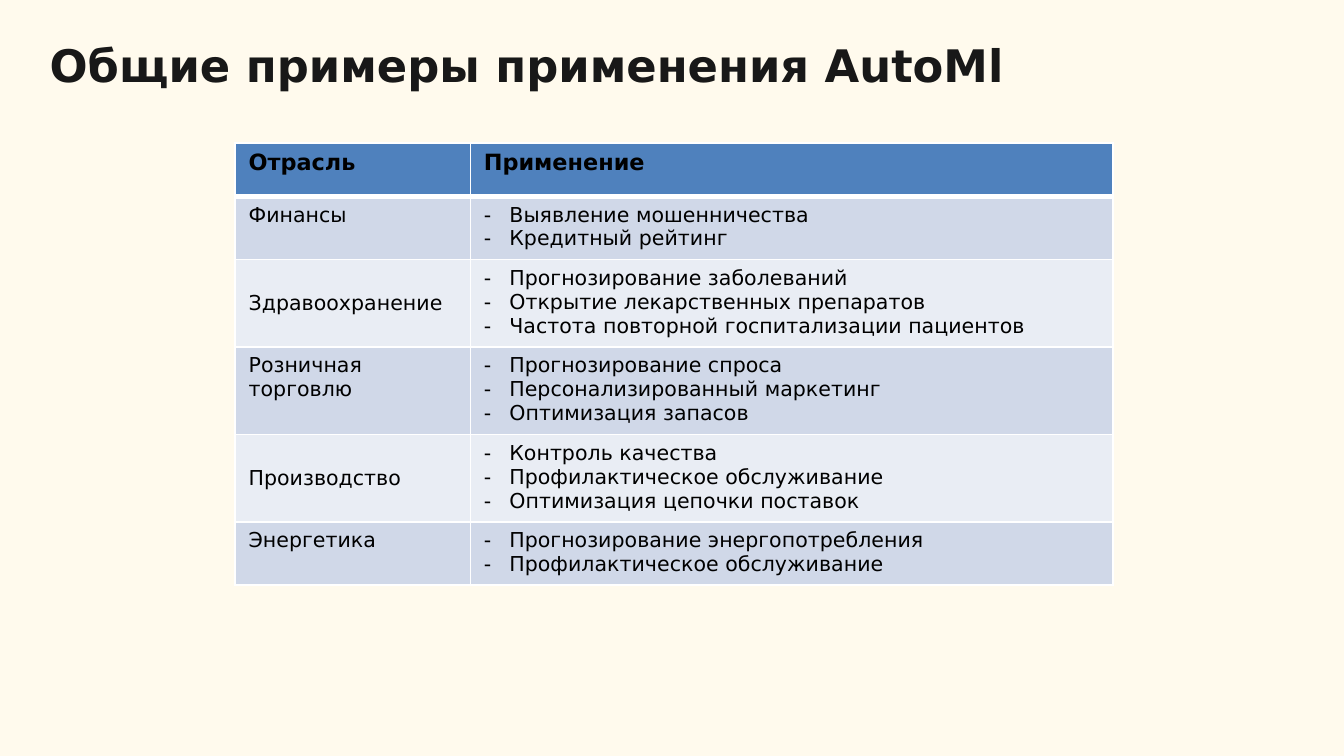
from lxml.etree import SubElement
from pptx import Presentation
from pptx.dml.color import RGBColor
from pptx.enum.text import MSO_ANCHOR, PP_ALIGN
from pptx.oxml.ns import qn
from pptx.util import Inches, Pt

SLIDE_WIDTH = Inches(10)
SLIDE_HEIGHT = SLIDE_WIDTH * 9 // 16
FONT = "DejaVu Sans"
CREAM = RGBColor(0xFF, 0xFA, 0xED)
CHARCOAL = RGBColor(0x18, 0x18, 0x18)
BLACK = RGBColor(0x00, 0x00, 0x00)
WHITE = RGBColor(0xFF, 0xFF, 0xFF)
HEADER_BLUE = RGBColor(0x4F, 0x81, 0xBD)
BAND_COLORS = (RGBColor(0xD0, 0xD8, 0xE8), RGBColor(0xE9, 0xED, 0xF4))

TITLE = "Общие примеры применения AutoMl"
HEADERS = ("Отрасль", "Применение")
INDUSTRIES = (
    ("Финансы", ("Выявление мошенничества", "Кредитный рейтинг")),
    ("Здравоохранение", ("Прогнозирование заболеваний",
                         "Открытие лекарственных препаратов",
                         "Частота повторной госпитализации пациентов")),
    ("Розничная торговлю", ("Прогнозирование спроса",
                            "Персонализированный маркетинг",
                            "Оптимизация запасов")),
    ("Производство", ("Контроль качества",
                      "Профилактическое обслуживание",
                      "Оптимизация цепочки поставок")),
    ("Энергетика", ("Прогнозирование энергопотребления",
                    "Профилактическое обслуживание")),
)


def slide_box(left, top, width, height):
    """Turn percentages of the slide's size into lengths."""
    return (int(SLIDE_WIDTH * left / 100), int(SLIDE_HEIGHT * top / 100),
            int(SLIDE_WIDTH * width / 100), int(SLIDE_HEIGHT * height / 100))


def add_run(paragraph, text, size, color, bold=False):
    run = paragraph.add_run()
    run.text = text
    run.font.name = FONT
    run.font.size = Pt(size)
    run.font.bold = bold
    run.font.color.rgb = color


def add_dash(paragraph):
    properties = paragraph._p.get_or_add_pPr()
    indent = Inches(0.19)
    properties.set("marL", str(indent))
    properties.set("indent", str(-indent))
    SubElement(properties, qn("a:buFont"), typeface=FONT)
    SubElement(properties, qn("a:buChar"), char="-")


def set_borders(cell, top=1, bottom=1):
    properties = cell._tc.get_or_add_tcPr()
    for side, width in (("L", 1), ("R", 1), ("T", top), ("B", bottom)):
        line = SubElement(properties, qn(f"a:ln{side}"), w=str(Pt(width)))
        fill = SubElement(line, qn("a:solidFill"))
        SubElement(fill, qn("a:srgbClr"), val=str(WHITE))


def fill_cell(cell, lines, fill, size=11, bold=False, dashed=False):
    cell.fill.solid()
    cell.fill.fore_color.rgb = fill
    frame = cell.text_frame
    for index, line in enumerate(lines):
        paragraph = frame.add_paragraph() if index else frame.paragraphs[0]
        if dashed:
            add_dash(paragraph)
        add_run(paragraph, line, size, BLACK, bold)


def place_title(slide, box):
    title = slide.shapes.title
    title.left, title.top, title.width, title.height = box
    frame = title.text_frame
    frame.margin_left = frame.margin_right = frame.margin_bottom = 0
    frame.margin_top = Inches(0.01)
    frame.vertical_anchor = MSO_ANCHOR.TOP
    frame.word_wrap = True
    paragraph = frame.paragraphs[0]
    paragraph.alignment = PP_ALIGN.LEFT
    paragraph.space_before = Pt(1)
    paragraph._p.get_or_add_pPr().set("marL", str(Inches(0.01)))
    add_run(paragraph, TITLE, 24, CHARCOAL, bold=True)


def place_industry_table(slide, box):
    """The header takes 12 % of the height; each row has its uses plus padding."""
    row_count = len(INDUSTRIES) + 1
    table = slide.shapes.add_table(row_count, len(HEADERS), *box).table
    industry_width = int(box[2] * 0.268)
    table.columns[0].width = industry_width
    table.columns[1].width = box[2] - industry_width

    header_height = int(box[3] * 0.12)
    padding = 0.6
    line_count = sum(len(uses) + padding for _, uses in INDUSTRIES)
    line_height = (box[3] - header_height) / line_count

    table.rows[0].height = header_height
    for column, header in enumerate(HEADERS):
        cell = table.cell(0, column)
        set_borders(cell, bottom=3)
        fill_cell(cell, [header], HEADER_BLUE, size=12, bold=True)

    for row, (industry, uses) in enumerate(INDUSTRIES, start=1):
        table.rows[row].height = int(line_height * (len(uses) + padding))
        band = (row - 1) % 2
        name_cell, uses_cell = table.cell(row, 0), table.cell(row, 1)
        for cell in (name_cell, uses_cell):
            set_borders(cell, top=3 if row == 1 else 1)
        fill_cell(name_cell, [industry], BAND_COLORS[band])
        fill_cell(uses_cell, uses, BAND_COLORS[band], dashed=True)
        if band:
            name_cell.vertical_anchor = MSO_ANCHOR.MIDDLE


def main():
    presentation = Presentation()
    presentation.slide_width = SLIDE_WIDTH
    presentation.slide_height = SLIDE_HEIGHT
    slide = presentation.slides.add_slide(presentation.slide_layouts[5])
    slide.background.fill.solid()
    slide.background.fill.fore_color.rgb = CREAM
    place_title(slide, slide_box(3.6, 4.85, 89.4, 7.5))
    place_industry_table(slide, slide_box(17.5, 18.95, 65.3, 58.5))
    presentation.save("out.pptx")


if __name__ == "__main__":
    main()
